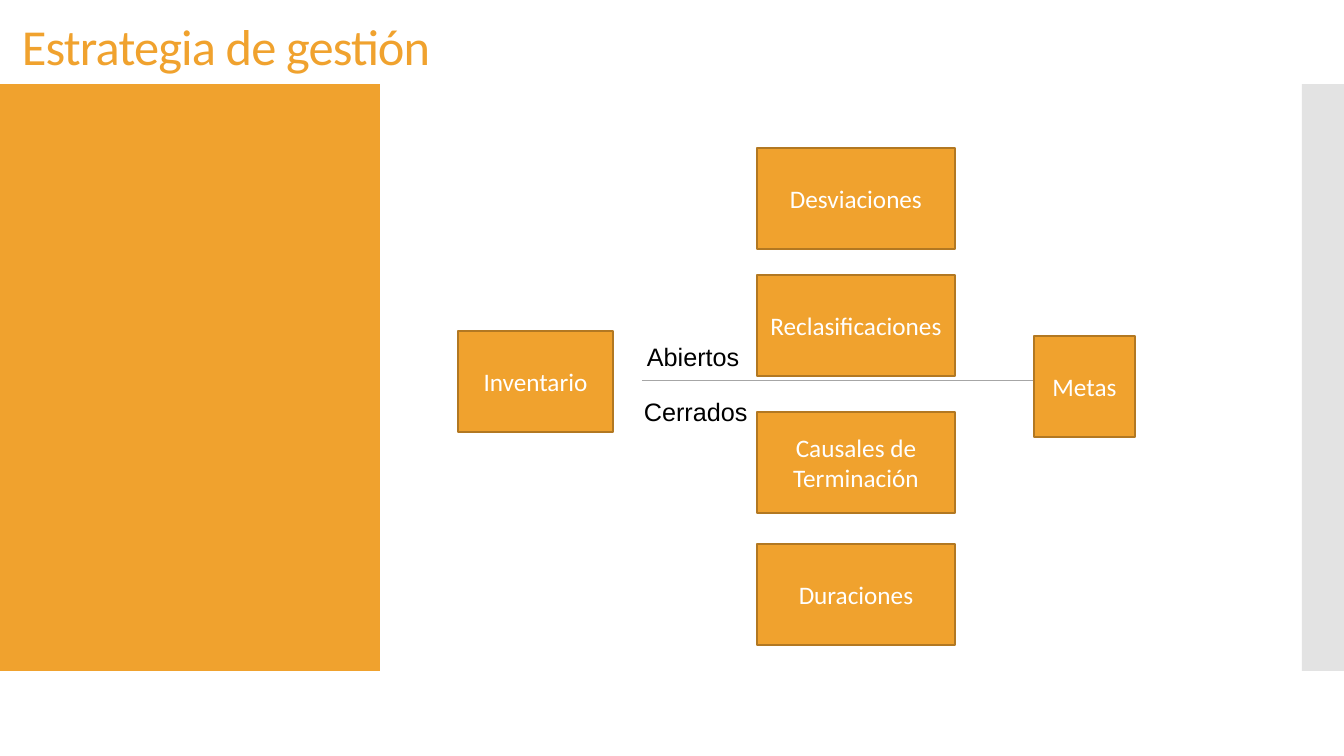
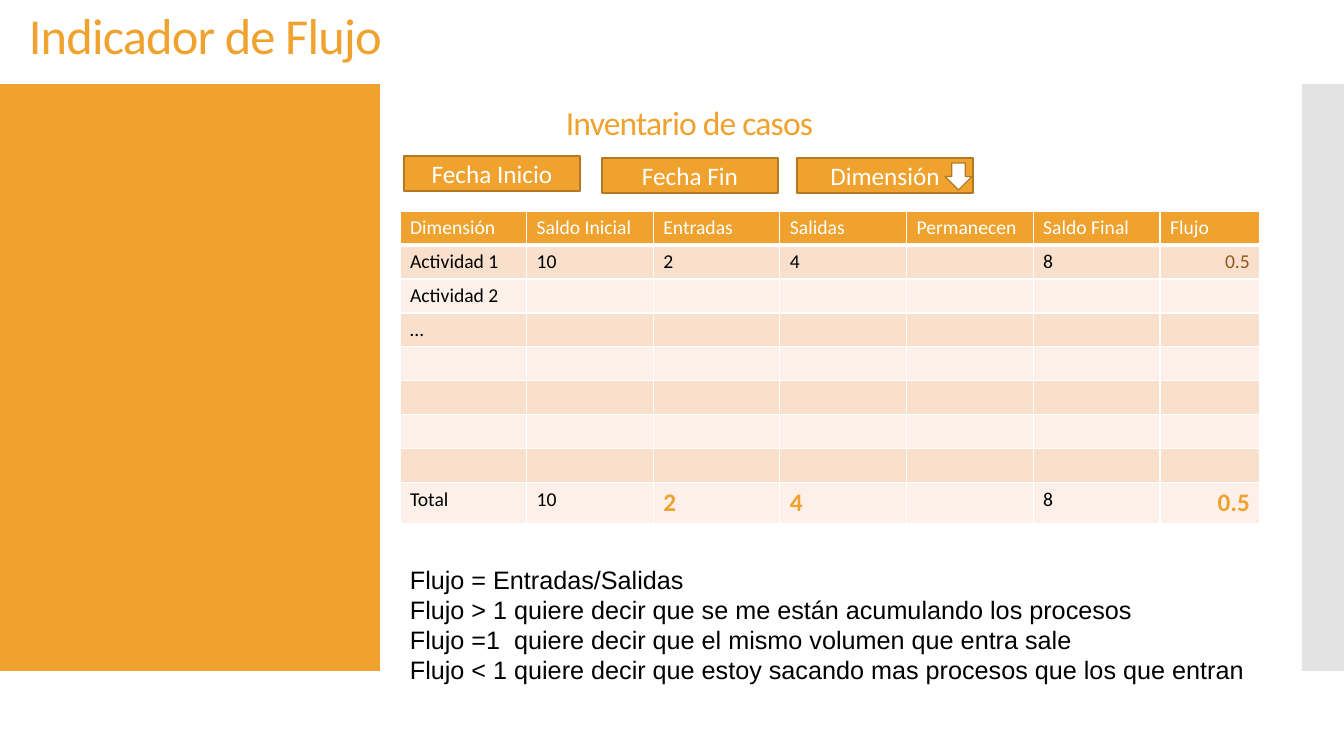
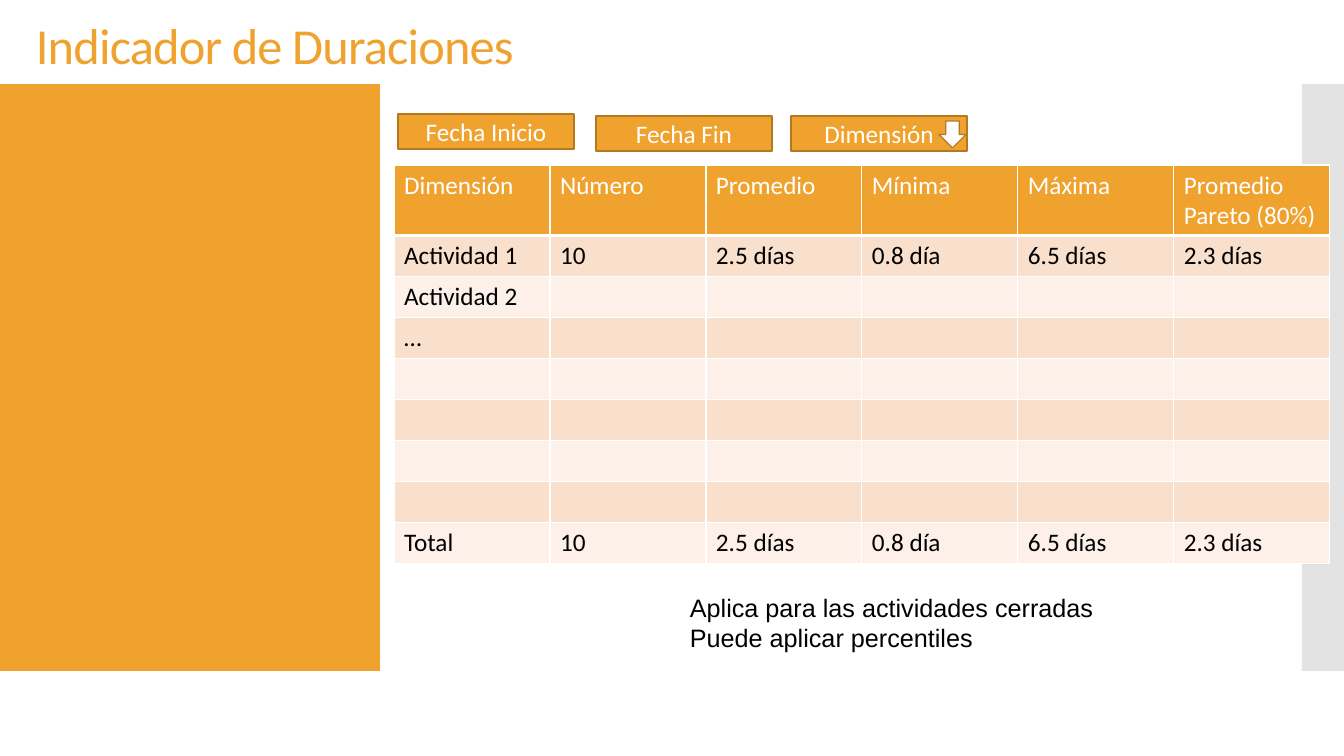
from lxml import etree
from pptx import Presentation
from pptx.dml.color import RGBColor
from pptx.enum import shapes, text
from pptx.oxml.ns import qn
from pptx.util import Emu, Pt

COLORS = {
    "orange": "F0A22E", "outline": "B27822", "grey": "C8C8C8", "rule": "A6A6A6",
    "white": "FFFFFF", "black": "000000", "brown": "91581F",
    "band": "F9E0CD", "pale": "FCF0E8",
}
BODY_FONT, NOTE_FONT = "Calibri", "Arial"
PX = 914400 / 100.8
BODY_ROWS = 7


def px(*lengths):
    return [Emu(round(length * PX)) for length in lengths]


def rgb(name):
    return RGBColor.from_string(COLORS[name])


def style(paragraph, size, color, font=BODY_FONT, bold=False):
    paragraph.font.size = Pt(size)
    paragraph.font.name = font
    paragraph.font.bold = bold
    paragraph.font.color.rgb = rgb(color)


def add_block(slide, box, fill="orange", outline="outline", label="",
              kind=shapes.MSO_SHAPE.RECTANGLE):
    block = slide.shapes.add_shape(kind, *px(*box))
    block.shadow.inherit = False
    block.fill.solid()
    block.fill.fore_color.rgb = rgb(fill)
    if outline:
        block.line.color.rgb = rgb(outline)
        block.line.width = Pt(0.85)
    else:
        block.line.fill.background()
    if label:
        frame = block.text_frame
        frame.text = label
        frame.word_wrap = True
        frame.vertical_anchor = text.MSO_ANCHOR.MIDDLE
        frame.paragraphs[0].alignment = text.PP_ALIGN.CENTER
        style(frame.paragraphs[0], 18, "white")
    return block


def add_heading(slide, left, top, wording, size=36):
    frame = slide.shapes.add_textbox(*px(left, top, 926, 76)).text_frame
    frame.text = wording
    frame.word_wrap = True
    frame.vertical_anchor = text.MSO_ANCHOR.MIDDLE
    heading = frame.paragraphs[0]
    heading.line_spacing = 0.9
    style(heading, size, "orange")
    heading.font._rPr.set("spc", "-60")


def add_note(slide, box, *lines):
    frame = slide.shapes.add_textbox(*px(*box)).text_frame
    frame.word_wrap = False
    frame.text = "\n".join(lines)
    for line in frame.paragraphs:
        style(line, 18, "black", NOTE_FONT)


def add_base(deck, title, left, top):
    slide = deck.slides.add_slide(deck.slide_layouts[6])
    add_block(slide, (0, 84, 380, 587), outline=None)
    edge = add_block(slide, (1302, 84, 42, 587), "grey", None)
    tint = edge.fill._xPr.find(".//" + qn("a:srgbClr"))
    etree.SubElement(tint, qn("a:alpha"), val="50000")
    add_heading(slide, left, top, title)
    return slide


def add_filters(slide, left, top):
    for label, dx, dy in (("Fecha Inicio", 0, 0), ("Fecha Fin", 198, 2), ("Dimensión", 393, 2)):
        add_block(slide, (left + dx, top + dy, 176, 35), label=label)
    add_block(slide, (left + 541, top + 7, 27, 27), "white",
              kind=shapes.MSO_SHAPE.DOWN_ARROW)


def add_borders(cell, bottom):
    properties = cell._tc.get_or_add_tcPr()
    for side, width in (("L", 1), ("R", 1), ("T", 1), ("B", bottom)):
        line = etree.SubElement(properties, qn("a:ln" + side), w=str(Pt(width)))
        fill = etree.SubElement(line, qn("a:solidFill"))
        etree.SubElement(fill, qn("a:srgbClr"), val=COLORS["white"])


def add_grid(slide, box, headers, first, total, names=(), size=14, accents=None):
    left, top, column_width, row_height = box
    blank = [""] * len(headers)
    rows = [headers, first] + [blank] * (BODY_ROWS - 1) + [total]
    for number, name in enumerate(names, 2):
        rows[number] = [name] + blank[1:]
    table = slide.shapes.add_table(
        len(rows), len(headers),
        *px(left, top, column_width * len(headers), row_height * len(rows))).table
    table.first_row = table.horz_banding = False
    for column in table.columns:
        column.width, = px(column_width)
    for r, values in enumerate(rows):
        table.rows[r].height, = px(row_height)
        for c, value in enumerate(values):
            cell = table.cell(r, c)
            add_borders(cell, 1 if r else 3)
            cell.fill.solid()
            cell.fill.fore_color.rgb = rgb(("band" if r % 2 else "pale") if r else "orange")
            cell.text = value
            paragraph = cell.text_frame.paragraphs[0]
            look = (size, "black" if r else "white")
            style(paragraph, *(accents or {}).get((r, c), look))
            if not value:
                etree.SubElement(paragraph._p, qn("a:endParaRPr"), sz=str(size * 100))
    return table


def build_strategy(deck):
    slide = add_base(deck, "Estrategia de gestión", 12, 11)
    add_block(slide, (458, 331, 155, 101), label="Inventario")
    measures = (("Desviaciones", 148), ("Reclasificaciones", 275),
                ("Causales de Terminación", 412), ("Duraciones", 544))
    for measure, top in measures:
        add_block(slide, (757, top, 198, 101), label=measure)
    divider = slide.shapes.add_connector(
        shapes.MSO_CONNECTOR.STRAIGHT, *px(642, 381, 1129, 381))
    divider.line.color.rgb = rgb("rule")
    divider.line.width = Pt(0.75)
    etree.SubElement(divider._element.spPr, qn("a:effectLst"))
    add_note(slide, (637, 336, 114, 40), "Abiertos")
    add_note(slide, (634, 391, 125, 40), "Cerrados")
    add_block(slide, (1034, 336, 101, 101), label="Metas")


def build_flow(deck):
    slide = add_base(deck, "Indicador de Flujo", 19, 0)
    highlight = (18, "orange", BODY_FONT, True)
    last = BODY_ROWS + 1
    add_grid(slide, (400, 211, 126.67, 34),
             ["Dimensión", "Saldo Inicial", "Entradas", "Salidas", "Permanecen", "Saldo Final"],
             ["Actividad 1", "10", "2", "4", "", "8"],
             ["Total", "10", "2", "4", "", "8"],
             ("Actividad 2", "…"),
             accents={(last, 2): highlight, (last, 3): highlight})
    ratio = add_grid(slide, (1160, 211, 100, 34), ["Flujo"], ["0.5"], ["0.5"],
                     accents={(1, 0): (14, "brown"), (last, 0): highlight})
    for row in (1, last):
        ratio.cell(row, 0).text_frame.paragraphs[0].alignment = text.PP_ALIGN.RIGHT
    add_note(slide, (400, 559, 862, 133),
             "Flujo = Entradas/Salidas",
             "Flujo > 1 quiere decir que se me están acumulando los procesos",
             "Flujo =1  quiere decir que el mismo volumen que entra sale",
             "Flujo < 1 quiere decir que estoy sacando mas procesos que los que entran")
    add_filters(slide, 404, 156)
    add_heading(slide, 556, 87, "Inventario de casos", 24)


def build_durations(deck):
    slide = add_base(deck, "Indicador de Duraciones", 26, 10)
    figures = ["10", "2.5 días", "0.8 día", "6.5 días", "2.3 días"]
    add_grid(slide, (394, 165, 156, 41),
             ["Dimensión", "Número", "Promedio", "Mínima", "Máxima", "Promedio Pareto (80%)"],
             ["Actividad 1"] + figures, ["Total"] + figures,
             ("Actividad 2", "…"), size=18)
    add_note(slide, (680, 587, 434, 71),
             "Aplica para las actividades cerradas", "Puede aplicar percentiles")
    add_filters(slide, 398, 114)


deck = Presentation()
deck.slide_width, deck.slide_height = px(1344, 756)
for build in (build_strategy, build_flow, build_durations):
    build(deck)
deck.save("out.pptx")
